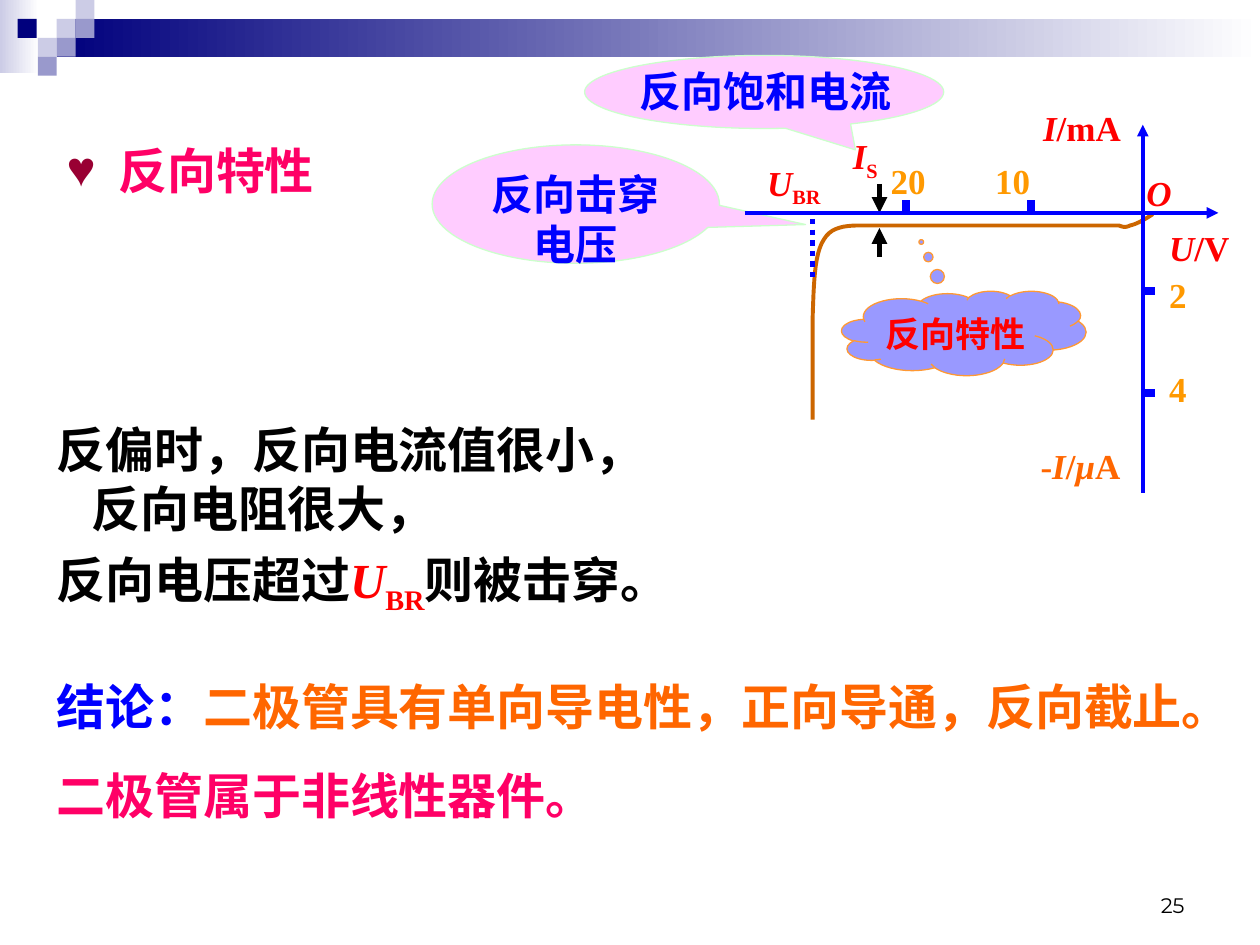
from lxml import etree
from pptx import Presentation
from pptx.dml.color import RGBColor
from pptx.enum.dml import MSO_LINE
from pptx.enum.shapes import MSO_CONNECTOR, MSO_SHAPE
from pptx.enum.text import MSO_ANCHOR, PP_ALIGN
from pptx.oxml.ns import qn
from pptx.util import Inches, Pt

RECTANGLE, ELLIPSE_CALLOUT, CLOUD = (
    MSO_SHAPE.RECTANGLE, MSO_SHAPE.OVAL_CALLOUT, MSO_SHAPE.CLOUD_CALLOUT)
STRAIGHT, DOTTED = MSO_CONNECTOR.STRAIGHT, MSO_LINE.ROUND_DOT
LEFT, CENTER, RIGHT = PP_ALIGN.LEFT, PP_ALIGN.CENTER, PP_ALIGN.RIGHT
TOP, BOTTOM = MSO_ANCHOR.TOP, MSO_ANCHOR.BOTTOM

THEME = {
    "black": "000000", "white": "FFFFFF", "navy": "00007D", "pale": "CCCCE6",
    "mid": "9999CC", "blue": "0000FF", "red": "FF0000", "orange": "FF6600",
    "amber": "FF9900", "pink": "FF0066", "heart": "990033", "curve": "CC6600",
    "callout": "FFCCFF", "callout_edge": "CCFFCC", "cloud": "9999FF",
    "cloud_edge": "FF9933",
    "serif": "Times New Roman", "sans": "Montserrat", "cjk": "Noto Sans CJK SC",
    "body": 28, "note": 24, "label": 20, "number": 12,
}

BANDS = [((0, 0, 0.31, 0.58), "pale"), ((0.45, 0.15, 9.55, 0.3), "navy")]
SQUARE = 0.15
SQUARES = [
    (0.45, 0.15, "pale"), (0.6, 0, "pale"), (0.6, 0.15, "mid"), (0.3, 0.3, "pale"),
    (0.14, 0.15, "navy"), (0.45, 0.3, "mid"), (0.3, 0.45, "mid"),
]

CURVE_START = (9.15, 1.7)
CURVE = [
    ((9.09, 1.74), (9.02, 1.78), (8.97, 1.79)),
    ((8.93, 1.81), (8.91, 1.8), (8.88, 1.79)),
    ((6.9, 1.79),),
    ((6.76, 1.79), (6.61, 1.78), (6.54, 1.9)),
    ((6.46, 2.02), (6.46, 2.27), (6.45, 2.52)),
    ((6.45, 3.33),),
]
CURVE_STEPS = 12

AXIS_X, AXIS_Y, TICK = 9.07, 1.69, 0.1
VOLTAGE_TICKS = [(7.19, "20", 6.97), (8.18, "10", 7.8)]
CURRENT_TICKS = [(2.31, "2", 2.12), (3.12, "4", 2.87)]

LABELS = [
    ((6.67, 1.02, 0.5, 0.48), "red", [("I", "italic"), ("S", "sub")]),
    ((6.93, 2.43, 1.36, 0.44), "red", [("反向特性", "")]),
    ((5.99, 1.23, 0.67, 0.48), "red", [("U", "italic"), ("BR", "sub")]),
    ((8.16, 3.48, 0.99, 0.44), "orange",
     [("-", ""), ("I", "italic"), ("/", ""), ("μ", "italic"), ("A", "")]),
    ((8.18, 0.8, 1, 0.44), "red", [("I", "italic"), ("/mA", "")]),
    ((9.18, 1.75, 0.82, 0.44), "red", [("U", "italic"), ("/V", "")]),
    ((9, 1.31, 0.54, 0.44), "red", [("O", "italic")]),
]
LABELS += [((left, 1.22, 0.6, 0.44), "amber", [(text, "")])
           for _, text, left in VOLTAGE_TICKS]
LABELS += [((9.18, top, 0.5, 0.44), "amber", [(text, "")])
           for _, text, top in CURRENT_TICKS]

BEHAVIOUR = [
    {"runs": [("反偏时，反向电流值很小，", "")]},
    {"runs": [("反向电阻很大，", "")], "margin": 0.28},
    {"runs": [("反向电压超过", ""), ("U", "italic", "red"), ("BR", "sub", "red"),
              ("则被击穿。", "")], "before": 7},
]
CONCLUSION = [
    {"runs": [("结论：", "", "blue"), ("二极管具有单向导电性，正向导通，反向截止。", "")],
     "color": "orange"},
    {"runs": [("二极管属于非线性器件。", "")], "color": "pink", "before": 17.5},
]
HEADING = [{"runs": [("反向特性", "")], "color": "pink", "margin": 0.41,
            "bullet": ("♥", "heart")}]


def color(name):
    return RGBColor.from_string(THEME[name])


def add_bullet(para, glyph, tint):
    props = para._p.get_or_add_pPr()
    props.set("indent", str(-int(props.get("marL"))))
    holder = etree.SubElement(props, qn("a:buClr"))
    etree.SubElement(holder, qn("a:srgbClr"), val=THEME[tint])
    etree.SubElement(props, qn("a:buFont"), typeface=THEME["serif"])
    etree.SubElement(props, qn("a:buChar"), char=glyph)


def write(frame, paragraphs, size, tint="black", align=LEFT, face="serif", bold=True):
    frame.word_wrap = True
    for index, item in enumerate(paragraphs):
        para = frame.add_paragraph() if index else frame.paragraphs[0]
        para.alignment = align
        if "before" in item:
            para.space_before = Pt(item["before"])
        if "margin" in item:
            para._p.get_or_add_pPr().set("marL", str(Inches(item["margin"])))
        if "bullet" in item:
            add_bullet(para, *item["bullet"])
        font = para.font
        font.size, font.bold, font.name = Pt(THEME[size]), bold, THEME[face]
        font.color.rgb = color(item.get("color", tint))
        defaults = para._p.pPr.find(qn("a:defRPr"))
        etree.SubElement(defaults, qn("a:ea"), typeface=THEME["cjk"])
        for text, style, *own_color in item["runs"]:
            span = para.add_run()
            span.text = text
            if style == "italic":
                span.font.italic = True
            elif style == "sub":
                span.font._element.set("baseline", "-25000")
            if own_color:
                span.font.color.rgb = color(own_color[0])


def add_text(page, place, paragraphs, size, anchor=TOP, **style):
    box = page.shapes.add_textbox(*map(Inches, place))
    box.text_frame.vertical_anchor = anchor
    write(box.text_frame, paragraphs, size, **style)


def add_block(page, kind, place, fill=None, edge=None, pointer=()):
    shape = page.shapes.add_shape(kind, *map(Inches, place))
    shape.shadow.inherit = False
    for index, value in enumerate(pointer):
        shape.adjustments[index] = value
    if fill:
        shape.fill.solid()
        shape.fill.fore_color.rgb = color(fill)
    if edge:
        shape.line.color.rgb = color(edge)
        shape.line.width = Pt(0.75)
    else:
        shape.line.fill.background()
    return shape


def add_line(page, start, end, tint, width, arrow=False, dash=None):
    line = page.shapes.add_connector(STRAIGHT, *map(Inches, start + end))
    line.line.color.rgb = color(tint)
    line.line.width = Pt(width)
    if dash:
        line.line.dash_style = dash
    if arrow:
        etree.SubElement(line.line._get_or_add_ln(), qn("a:tailEnd"), type="triangle")
    etree.SubElement(line._element.spPr, qn("a:effectLst"))


def curve_points():
    here, points = CURVE_START, []
    for segment in CURVE:
        if len(segment) == 1:
            points.append(segment[0])
        else:
            for step in range(1, CURVE_STEPS + 1):
                t = step / CURVE_STEPS
                weights = ((1 - t) ** 3, 3 * t * (1 - t) ** 2, 3 * t * t * (1 - t), t ** 3)
                points.append(tuple(
                    sum(w * p[axis] for w, p in zip(weights, (here, *segment)))
                    for axis in (0, 1)))
        here = segment[-1]
    return [(Inches(x), Inches(y)) for x, y in points]


def draw_header(page):
    for place, start in BANDS:
        fill = add_block(page, RECTANGLE, place).fill
        fill.gradient()
        fill.gradient_angle = 0
        for stop, tint in zip(fill.gradient_stops, (start, "white")):
            stop.color.rgb = color(tint)
    for left, top, tint in SQUARES:
        add_block(page, RECTANGLE, (left, top, SQUARE, SQUARE), tint)


def draw_diagram(page):
    add_block(page, CLOUD, (6.68, 2.31, 1.94, 0.67), "cloud", "cloud_edge", (-0.174, -1.081))
    builder = page.shapes.build_freeform(*map(Inches, CURVE_START))
    builder.add_line_segments(curve_points(), close=False)
    curve = builder.convert_to_shape()
    curve.shadow.inherit = False
    curve.fill.background()
    curve.line.color.rgb = color("curve")
    curve.line.width = Pt(2.25)
    for start, end in ((1.46, 1.69), (2.04, 1.81)):
        add_line(page, (6.98, start), (6.98, end), "black", 3, arrow=True)
    add_line(page, (6.45, 1.74), (6.45, 2.24), "blue", 3, dash=DOTTED)
    add_block(page, ELLIPSE_CALLOUT, (4.64, 0.44, 2.85, 0.58),
              "callout", "callout_edge", (0.254, 0.792))
    add_text(page, (4.98, 0.47, 2.29, 0.5), [{"runs": [("反向饱和电流", "")]}],
             "note", tint="blue")
    breakdown = add_block(page, ELLIPSE_CALLOUT, (3.43, 1.15, 2.28, 0.94),
                          "callout", "callout_edge", (0.8, 0.173))
    breakdown.text_frame.vertical_anchor = TOP
    write(breakdown.text_frame, [{"runs": [("反向击穿电压", "")]}],
          "note", tint="blue", align=CENTER)
    add_line(page, (AXIS_X, 3.91), (AXIS_X, 0.99), "blue", 2.25, arrow=True)
    add_line(page, (5.91, AXIS_Y), (9.67, AXIS_Y), "blue", 2.25, arrow=True)
    for x, *_ in VOLTAGE_TICKS:
        add_line(page, (x, AXIS_Y), (x, AXIS_Y - TICK), "blue", 4.5)
    for y, *_ in CURRENT_TICKS:
        add_line(page, (AXIS_X, y), (AXIS_X + TICK, y), "blue", 4.5)
    for place, tint, runs in LABELS:
        add_text(page, place, [{"runs": runs}], "label", tint=tint)


deck = Presentation()
deck.slide_width, deck.slide_height = Inches(10), Inches(7.5)
page = deck.slides.add_slide(deck.slide_layouts[6])
draw_header(page)
draw_diagram(page)
add_text(page, (0.43, 1.07, 3.15, 0.57), HEADING, "body")
add_text(page, (0.35, 3.28, 5.76, 1.66), BEHAVIOUR, "body")
add_text(page, (0.35, 5.32, 9.29, 1.28), CONCLUSION, "body")
add_text(page, (7.17, 6.83, 2.33, 0.5), [{"runs": [("25", "")]}], "number",
         anchor=BOTTOM, align=RIGHT, face="sans", bold=False)
deck.save("out.pptx")
